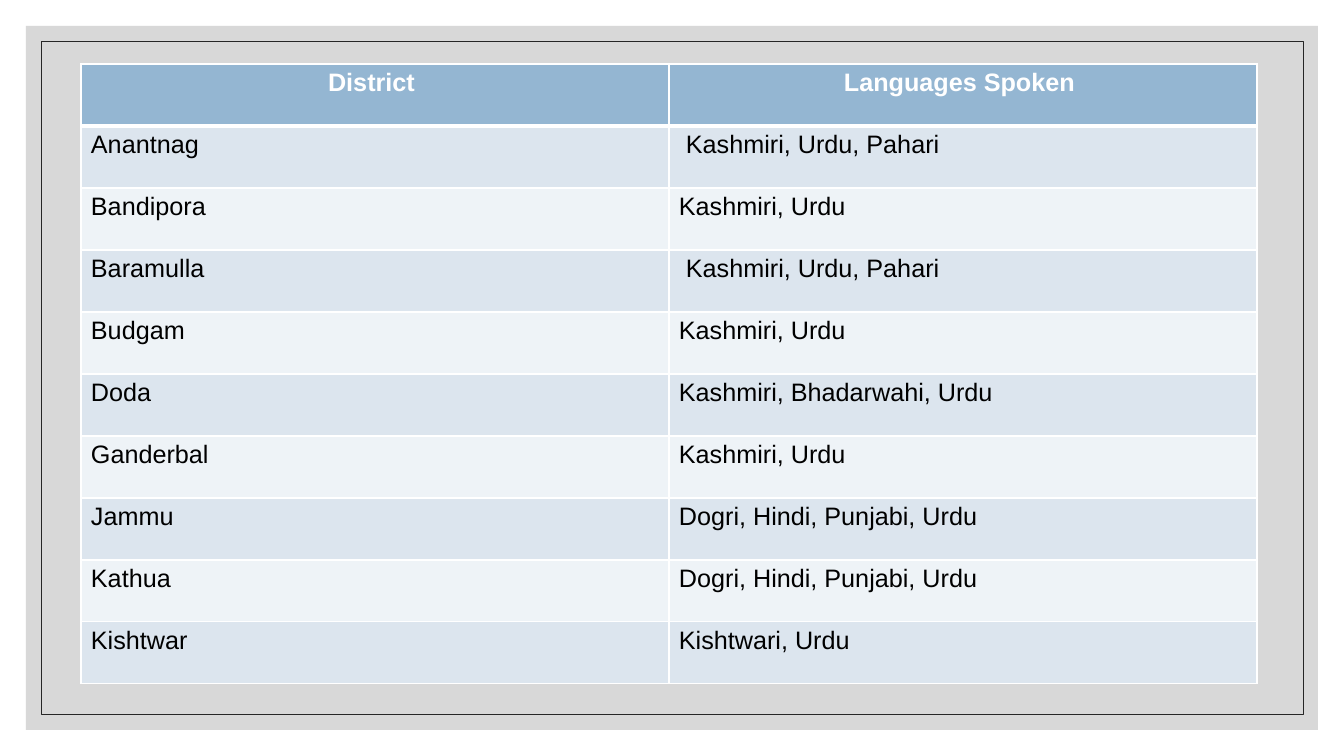
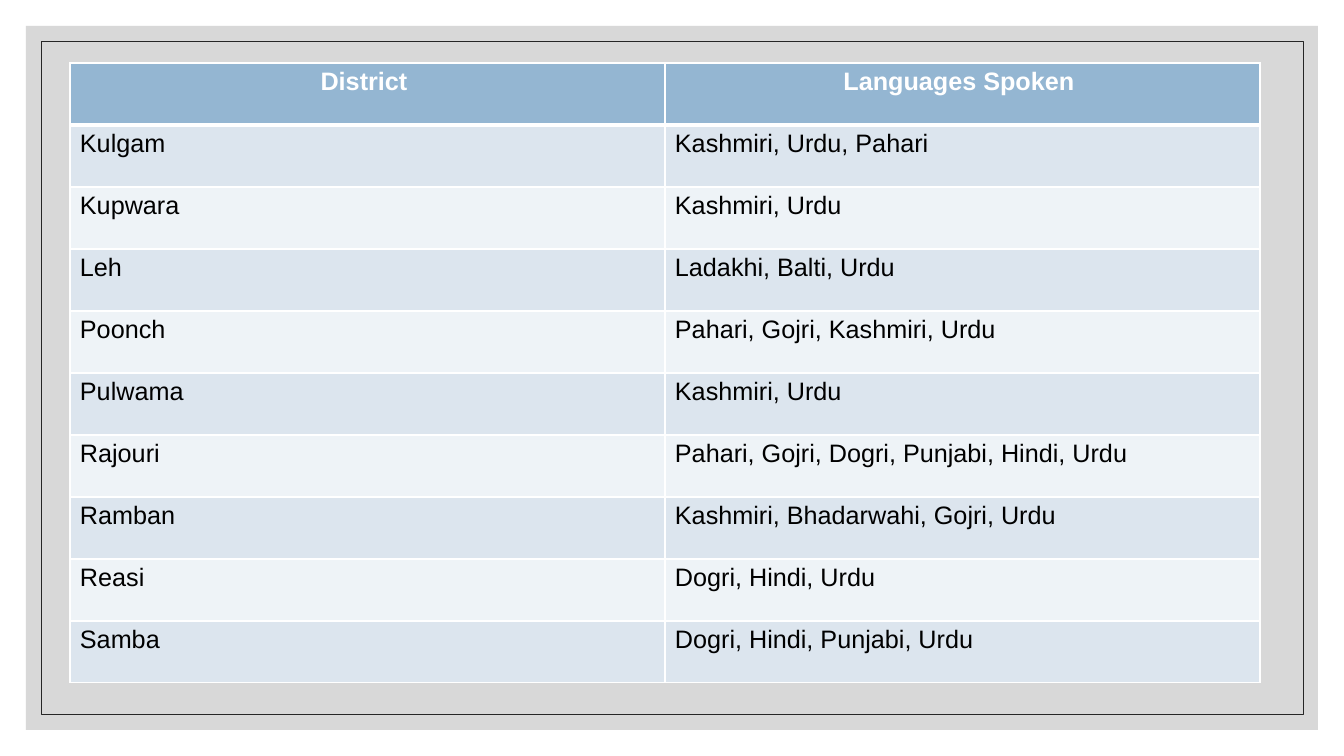
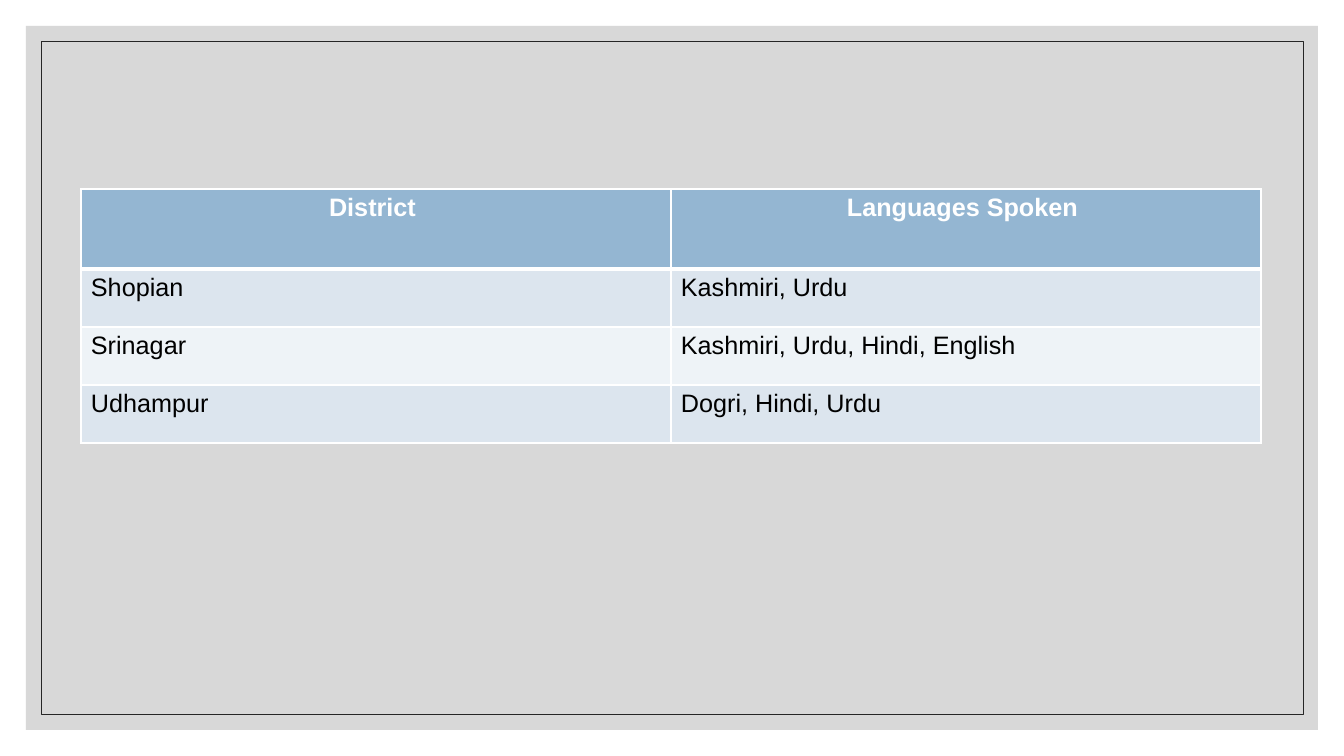
from dataclasses import dataclass

from lxml.etree import SubElement
from pptx import Presentation
from pptx.dml.color import RGBColor
from pptx.enum.shapes import MSO_SHAPE
from pptx.enum.text import PP_ALIGN
from pptx.oxml.ns import qn
from pptx.shapes.autoshape import Shape
from pptx.slide import Slide, SlideLayout
from pptx.table import _Cell
from pptx.util import Emu, Pt

WIDE, HIGH = 1344, 756
SCALE = 12192000 / WIDE


@dataclass(frozen=True)
class Theme:
    font: str = "Arial"
    size: int = 18
    white: str = "FFFFFF"
    ink: str = "000000"
    panel: str = "BFBFBF"
    clear: int = 60
    frame: str = "262626"
    thin: float = 0.5
    head: str = "94B6D2"
    bands: tuple[str, str] = ("DCE5EE", "EEF3F7")
    rule: int = 1
    thick: int = 3
    pad: int = 10
    nudge: int = 7


@dataclass(frozen=True)
class Row:
    name: str
    langs: str
    inset: int = 0


@dataclass(frozen=True)
class Grid:
    left: int
    top: int
    col: int
    head: int
    step: int
    rows: tuple[Row, ...]


THEME = Theme()
HEADS = ("District", "Languages Spoken")

GRIDS = (
    Grid(81, 64, 588, 62, 62, (
        Row("Anantnag", "Kashmiri, Urdu, Pahari", THEME.nudge),
        Row("Bandipora", "Kashmiri, Urdu"),
        Row("Baramulla", "Kashmiri, Urdu, Pahari", THEME.nudge),
        Row("Budgam", "Kashmiri, Urdu"),
        Row("Doda", "Kashmiri, Bhadarwahi, Urdu"),
        Row("Ganderbal", "Kashmiri, Urdu"),
        Row("Jammu", "Dogri, Hindi, Punjabi, Urdu"),
        Row("Kathua", "Dogri, Hindi, Punjabi, Urdu"),
        Row("Kishtwar", "Kishtwari, Urdu"),
    )),
    Grid(70, 63, 595, 62, 62, (
        Row("Kulgam", "Kashmiri, Urdu, Pahari"),
        Row("Kupwara", "Kashmiri, Urdu"),
        Row("Leh", "Ladakhi, Balti, Urdu"),
        Row("Poonch", "Pahari, Gojri, Kashmiri, Urdu"),
        Row("Pulwama", "Kashmiri, Urdu"),
        Row("Rajouri", "Pahari, Gojri, Dogri, Punjabi, Hindi, Urdu"),
        Row("Ramban", "Kashmiri, Bhadarwahi, Gojri, Urdu"),
        Row("Reasi", "Dogri, Hindi, Urdu"),
        Row("Samba", "Dogri, Hindi, Punjabi, Urdu"),
    )),
    Grid(81, 189, 590, 80, 58, (
        Row("Shopian", "Kashmiri, Urdu"),
        Row("Srinagar", "Kashmiri, Urdu, Hindi, English"),
        Row("Udhampur", "Dogri, Hindi, Urdu"),
    )),
)


def px(count: int) -> Emu:
    return Emu(round(count * SCALE))


def rgb(code: str) -> RGBColor:
    return RGBColor.from_string(code)


def add_box(slide: Slide, left: int, top: int, wide: int, high: int) -> Shape:
    box = slide.shapes.add_shape(
        MSO_SHAPE.RECTANGLE, px(left), px(top), px(wide), px(high))
    box.shadow.inherit = False
    return box


def set_frame(slide: Slide, layout: SlideLayout) -> None:
    """Draw the panel and its outline, then hand them to the layout."""
    for holder in list(layout.placeholders):
        layout.shapes.element.remove(holder.element)

    panel = add_box(slide, 26, 26, 1292, 704)
    panel.fill.solid()
    panel.fill.fore_color.rgb = rgb(THEME.panel)
    color = panel.element.spPr.find(qn("a:solidFill"))[0]
    SubElement(color, qn("a:alpha"), val=str(THEME.clear * 1000))
    panel.line.fill.background()

    edge = add_box(slide, 41, 41, 1262, 673)
    edge.fill.background()
    edge.line.color.rgb = rgb(THEME.frame)
    edge.line.width = Pt(THEME.thin)

    for box in (panel, edge):
        layout.shapes.element.append(box.element)


def set_rules(cell: _Cell, top: int, base: int) -> None:
    props = cell._tc.get_or_add_tcPr()
    sides = {"L": THEME.rule, "R": THEME.rule, "T": top, "B": base}
    for side, width in sides.items():
        line = SubElement(props, qn(f"a:ln{side}"), w=str(Pt(width)))
        fill = SubElement(line, qn("a:solidFill"))
        SubElement(fill, qn("a:srgbClr"), val=THEME.white)


def set_cell(cell: _Cell, text: str, row: int, inset: int = 0) -> None:
    head = row == 0
    set_rules(cell, THEME.thick if row == 1 else THEME.rule,
              THEME.thick if head else THEME.rule)
    cell.fill.solid()
    cell.fill.fore_color.rgb = rgb(
        THEME.head if head else THEME.bands[(row - 1) % 2])
    cell.margin_left = px(THEME.pad + inset)
    cell.margin_right = px(THEME.pad + (THEME.nudge if head else 0))
    para = cell.text_frame.paragraphs[0]
    para.text = text
    para.alignment = PP_ALIGN.CENTER if head else PP_ALIGN.LEFT
    font = para.runs[0].font
    font.name, font.size, font.bold = THEME.font, Pt(THEME.size), head
    font.color.rgb = rgb(THEME.white if head else THEME.ink)


def add_grid(slide: Slide, grid: Grid) -> None:
    count = len(grid.rows)
    table = slide.shapes.add_table(
        count + 1, len(HEADS), px(grid.left), px(grid.top),
        px(grid.col * len(HEADS)), px(grid.head + grid.step * count)).table
    for col in table.columns:
        col.width = px(grid.col)
    for num, line in enumerate(table.rows):
        line.height = px(grid.step if num else grid.head)
    for num, text in enumerate(HEADS):
        set_cell(table.cell(0, num), text, 0)
    for num, row in enumerate(grid.rows, 1):
        set_cell(table.cell(num, 0), row.name, num)
        set_cell(table.cell(num, 1), row.langs, num, row.inset)


def main() -> None:
    deck = Presentation()
    deck.slide_width, deck.slide_height = px(WIDE), px(HIGH)
    layout = deck.slide_layouts[6]  # blank: the slides have no title
    slides = [deck.slides.add_slide(layout) for _ in GRIDS]
    set_frame(slides[0], layout)
    for slide, grid in zip(slides, GRIDS):
        add_grid(slide, grid)
    deck.save("out.pptx")


if __name__ == "__main__":
    main()
